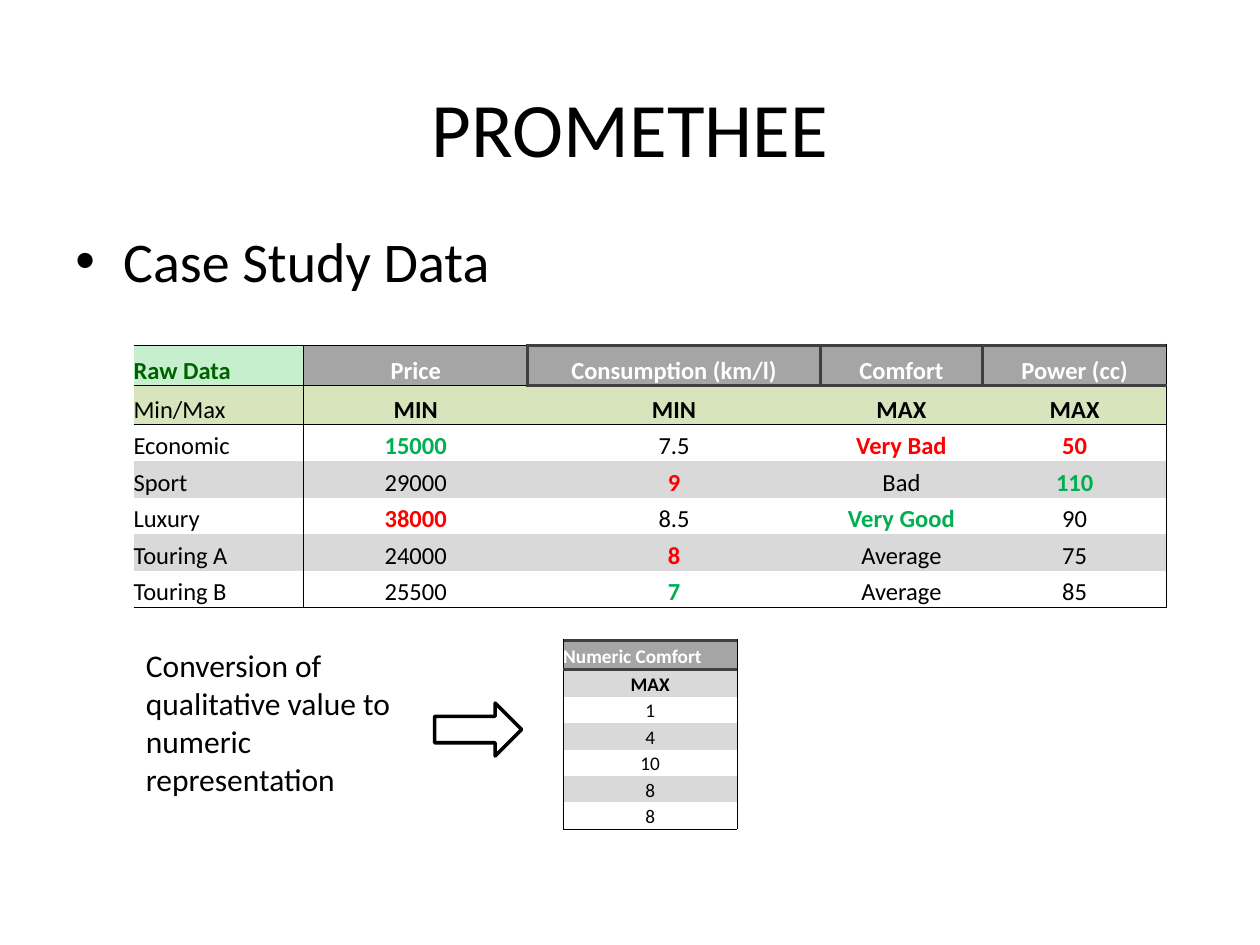
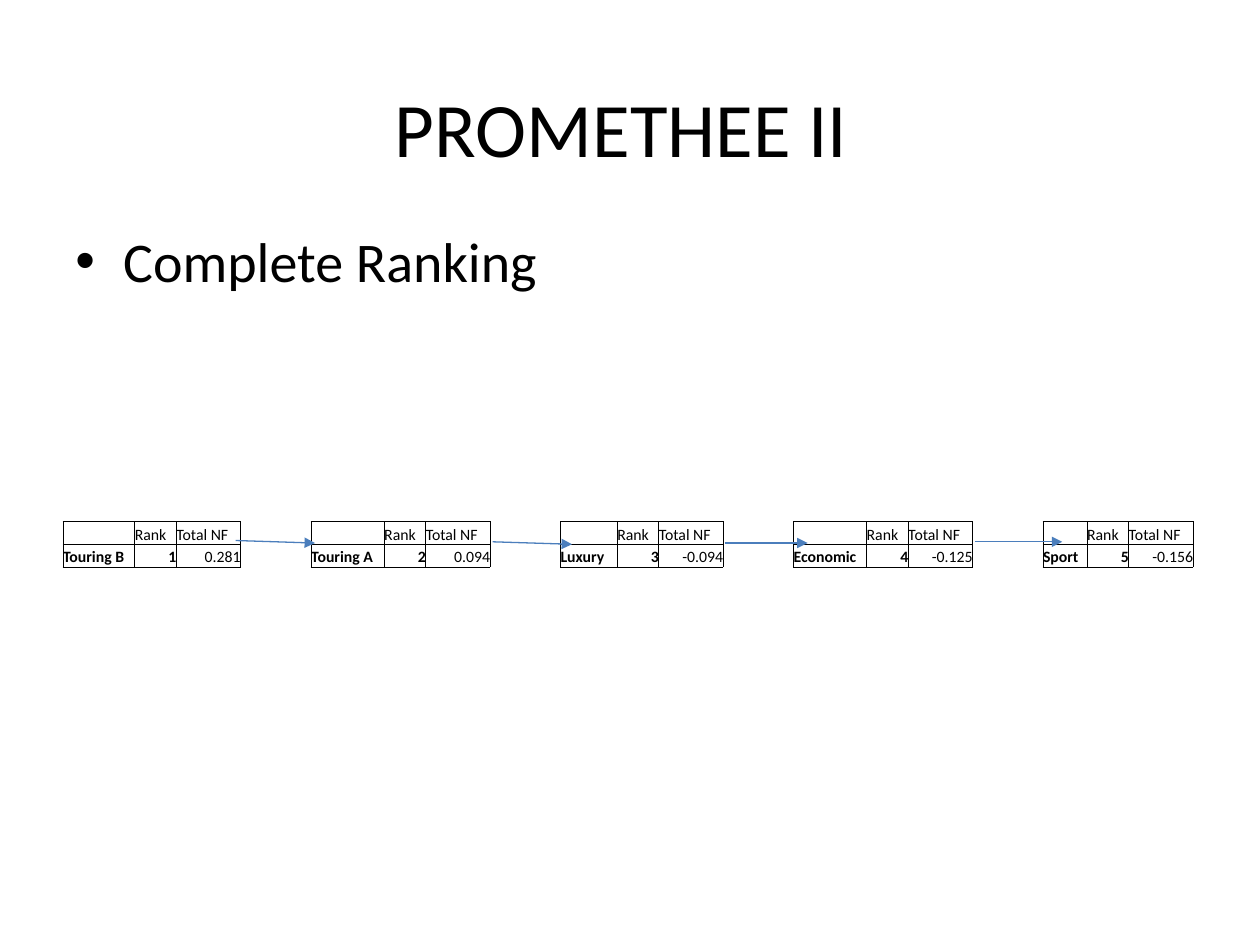
from lxml import etree
from pptx import Presentation, util as u
from pptx.dml.color import RGBColor
from pptx.enum import shapes, text
from pptx.oxml.ns import qn

PX = 9144  # EMU in one px, 100 px to the inch
FONT = "Calibri"
NO_TABLE_STYLE = "{2D5ABB26-0587-4C30-8999-92F81FD0307C}"
COLORS = {
    "ink": "000000", "paper": "FFFFFF", "header": "A5A5A5", "frame": "3F3F3F",
    "band": "D9D9D9", "goal": "D8E4BC", "corner": "C6EFCE", "corner_ink": "006100",
    "best": "00B050", "worst": "FF0000", "arrow": "4B7EBC",
}
ALIGN = {"l": text.PP_ALIGN.LEFT, "c": text.PP_ALIGN.CENTER, "r": text.PP_ALIGN.RIGHT}
SIDES = "LRTB"
NEIGHBOURS = {"L": (0, -1, "R"), "R": (0, 1, "L"), "T": (-1, 0, "B"), "B": (1, 0, "T")}

RAW_DATA = [
    ["Raw Data", "Price", "Consumption (km/l)", "Comfort", "Power (cc)"],
    ["Min/Max", "MIN", "MIN", "MAX", "MAX"],
    ["Economic", "15000", "7.5", "Very Bad", "50"],
    ["Sport", "29000", "9", "Bad", "110"],
    ["Luxury", "38000", "8.5", "Very Good", "90"],
    ["Touring A", "24000", "8", "Average", "75"],
    ["Touring B", "25500", "7", "Average", "85"],
]
BEST = {"15000", "7", "Very Good", "110"}
WORST = {"38000", "9", "8", "Very Bad", "50"}
NUMERIC_COMFORT = ["Numeric Comfort", "MAX", "1", "4", "10", "8", "8"]
RANKING = [("Touring B", "0.281", 57), ("Touring A", "0.094", 58), ("Luxury", "-0.094", 45),
           ("Economic", "-0.125", 58), ("Sport", "-0.156", 35)]
RANK_WIDTH, FLOW_WIDTH, GAP_WIDTH = 33, 51, 56
RANK_ARROWS = [(187, 429, 250, 431), (391, 430, 454, 432),
               (575, 431, 641, 431), (774, 430, 843, 430)]


def px(*lengths):
    return [u.Emu(length * PX) for length in lengths]


def color(name):
    return RGBColor.from_string(COLORS[name])


# Text
def write(frame, words, size=14, ink="ink", bold=False, align="l", bullet=False):
    para = frame.paragraphs[0]
    para.alignment = ALIGN[align]
    if bullet:
        props = para._p.get_or_add_pPr()
        props.set("marL", str(u.Inches(0.38)))
        props.set("indent", str(-u.Inches(0.38)))
        etree.SubElement(props, qn("a:buFont")).set("typeface", "Arial")
        etree.SubElement(props, qn("a:buChar")).set("char", "•")
    if not words:
        etree.SubElement(para._p, qn("a:endParaRPr")).set("sz", str(size * 100))
        return
    span = para.add_run()
    span.text = words
    span.font.name, span.font.size, span.font.bold = FONT, u.Pt(size), bold
    span.font.color.rgb = color(ink)


def add_text(page, place, words, middle=False, **style):
    box = page.shapes.add_textbox(*px(*place))
    frame = box.text_frame
    frame.word_wrap = True
    frame.vertical_anchor = text.MSO_ANCHOR.MIDDLE if middle else text.MSO_ANCHOR.TOP
    write(frame, words, **style)


def add_page(deck, title, point):
    page = deck.slides.add_slide(deck.slide_layouts[6])
    add_text(page, (50, 38, 900, 125), title, middle=True, size=44, align="c")
    add_text(page, (50, 175, 900, 495), point, size=32, bullet=True)
    return page


# Tables
def add_grid(page, left, top, widths, heights):
    place = px(left, top, sum(widths), sum(heights))
    table = page.shapes.add_table(len(heights), len(widths), *place).table
    table.first_row = table.horz_banding = False
    table._tbl.tblPr.find(qn("a:tableStyleId")).text = NO_TABLE_STYLE
    for column, width in zip(table.columns, px(*widths)):
        column.width = width
    for row, height in zip(table.rows, px(*heights)):
        row.height = height
    for cell in table.iter_cells():
        cell.margin_left = cell.margin_right = cell.margin_top = cell.margin_bottom = 0
        cell.vertical_anchor = text.MSO_ANCHOR.BOTTOM
        props = cell._tc.get_or_add_tcPr()
        for side in SIDES:
            etree.SubElement(etree.SubElement(props, qn("a:ln" + side)), qn("a:noFill"))
    return table


def fill_cell(cell, words, fill=None, **style):
    write(cell.text_frame, words, **style)
    if fill:
        cell.fill.solid()
        cell.fill.fore_color.rgb = color(fill)
    else:
        cell.fill.background()


def draw_edge(cell, side, ink, width):
    line = cell._tc.tcPr.find(qn("a:ln" + side))
    line.set("w", str(u.Pt(width)))
    line.remove(line[0])
    fill = etree.SubElement(line, qn("a:solidFill"))
    etree.SubElement(fill, qn("a:srgbClr")).set("val", COLORS[ink])


def rule(table, rows, cols, sides, ink="ink", width=0.5):
    """Rule the given sides of a range of cells, and the sides that touch them."""
    for row in rows:
        for col in cols:
            for side in sides:
                draw_edge(table.cell(row, col), side, ink, width)
                down, right, facing = NEIGHBOURS[side]
                near = row + down, col + right
                if 0 <= near[0] < len(table.rows) and 0 <= near[1] < len(table.columns):
                    draw_edge(table.cell(*near), facing, ink, width)


def raw_data_style(row, col, words):
    style = {"align": "c" if col else "l", "fill": "band" if row % 2 else None}
    if row == 0:
        style.update(bold=True, ink="paper" if col else "corner_ink",
                     fill="header" if col else "corner")
    elif row == 1:
        style.update(bold=col > 0, fill="goal")
    elif words in BEST | WORST:
        style.update(bold=True, ink="best" if words in BEST else "worst")
    return style


def add_raw_data(page):
    table = add_grid(page, 106, 274, [135, 178, 232, 129, 146], [32, 31] + [29] * 5)
    for row, values in enumerate(RAW_DATA):
        for col, words in enumerate(values):
            fill_cell(table.cell(row, col), words, **raw_data_style(row, col, words))
    rows, cols = range(len(RAW_DATA)), range(5)
    rule(table, [0], cols, "TB")
    rule(table, [1, rows[-1]], cols, "B")
    rule(table, rows, [0], "R")
    rule(table, [0], cols[2:], "LTRB", "frame", 2)
    rule(table, rows, [cols[-1]], "R")


def add_numeric_comfort(page):
    table = add_grid(page, 447, 508, [138], [23, 22] + [21] * 5)
    for row, words in enumerate(NUMERIC_COMFORT):
        head = row == 0
        fill = "header" if head else "band" if row % 2 else None
        fill_cell(table.cell(row, 0), words, size=11, bold=row < 2, fill=fill,
                  ink="paper" if head else "ink", align="l" if head else "c")
    rows = range(len(NUMERIC_COMFORT))
    rule(table, rows, [0], "LR")
    rule(table, [0], [0], "TB", "frame", 2)
    rule(table, [rows[-1]], [0], "B")


def add_ranking(page):
    widths = []
    for _, _, name_width in RANKING:
        widths += [name_width, RANK_WIDTH, FLOW_WIDTH, GAP_WIDTH]
    table = add_grid(page, 50, 396, widths[:-1], [18] * 3)
    labels = {}
    for place, (name, flow, _) in enumerate(RANKING):
        first = place * 4
        labels[1, first + 1] = ("Rank", {})
        labels[1, first + 2] = ("Total NF", {})
        labels[2, first] = (name, {"bold": True})
        labels[2, first + 1] = (str(place + 1), {"bold": True, "align": "r"})
        labels[2, first + 2] = (flow, {"align": "r"})
        rule(table, [1, 2], range(first, first + 3), "LTRB")
    for row in range(3):
        for col in range(len(table.columns)):
            words, style = labels.get((row, col), ("", {}))
            fill_cell(table.cell(row, col), words, size=9, **style)


# Arrows
def add_block_arrow(page, place):
    arrow = page.shapes.add_shape(shapes.MSO_SHAPE.RIGHT_ARROW, *px(*place))
    arrow.shadow.inherit = False
    arrow.fill.solid()
    arrow.fill.fore_color.rgb = color("paper")
    arrow.line.color.rgb = color("ink")
    arrow.line.width = u.Pt(2)


def add_line_arrow(page, ends):
    arrow = page.shapes.add_connector(shapes.MSO_CONNECTOR.STRAIGHT, *px(*ends))
    arrow.line.color.rgb = color("arrow")
    arrow.line.width = u.Pt(0.75)
    etree.SubElement(arrow.line._get_or_add_ln(), qn("a:tailEnd")).set("type", "triangle")
    etree.SubElement(arrow._element.spPr, qn("a:effectLst"))


def main():
    deck = Presentation()
    deck.slide_width, deck.slide_height = px(1000, 750)

    # Case study data
    page = add_page(deck, "PROMETHEE", "Case Study Data")
    add_raw_data(page)
    add_numeric_comfort(page)
    add_text(page, (106, 508, 239, 131),
             "Conversion of qualitative value to numeric representation", size=18)
    add_block_arrow(page, (345, 558, 69, 42))

    # Complete ranking
    page = add_page(deck, "PROMETHEE II ", "Complete Ranking")
    add_ranking(page)
    for ends in RANK_ARROWS:
        add_line_arrow(page, ends)

    deck.save("out.pptx")


if __name__ == "__main__":
    main()
